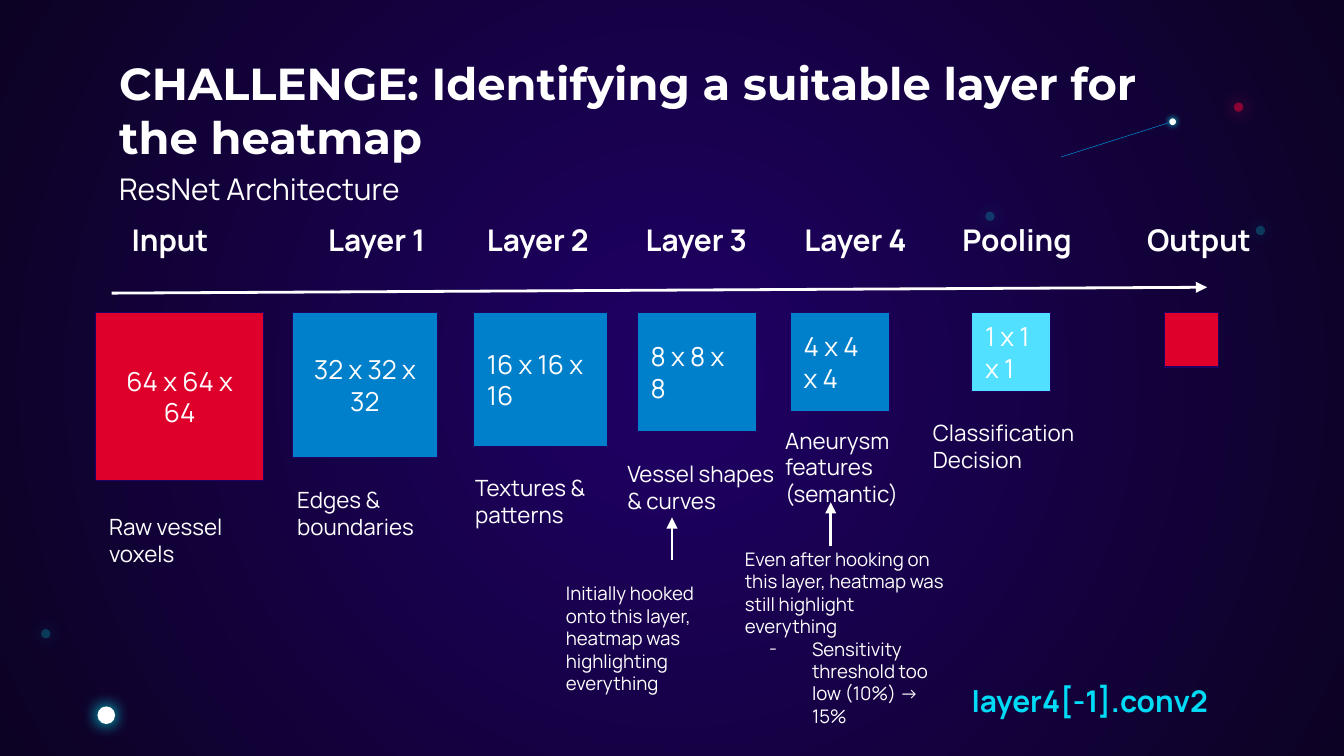
from lxml.etree import SubElement
from pptx import Presentation
from pptx.dml.color import RGBColor
from pptx.enum.shapes import MSO_CONNECTOR, MSO_SHAPE
from pptx.enum.text import MSO_ANCHOR, PP_ALIGN
from pptx.oxml import parse_xml
from pptx.oxml.ns import nsdecls, qn
from pptx.util import Emu, Pt

EMU_PER_PX = 5715
INSET = 16
WHITE, NAVY, BLUE, RED = "FFFFFF", "1F0065", "007FCA", "DE002B"
CYAN, SKY, AQUA, PINK = "00FFFD", "51E0FF", "00DBF6", "FF003A"
CENTER, LEFT = PP_ALIGN.CENTER, PP_ALIGN.LEFT
BODY_FONT = "Manrope"

HEADING_TOP, HEADING_WIDTH = 248, 173
LABEL_HEIGHT = 94
BLOCK_TOP = 372
STAGES = [
    ("Input", 141, 114, 200, RED, "64 x 64 x 64", CENTER),
    ("Layer 1", 375, 348, 173, BLUE, "32 x 32 x 32", CENTER),
    ("Layer 2", 564, 564, 160, BLUE, "16 x 16 x 16", LEFT),
    ("Layer 3", 753, 759, 142, BLUE, "8 x 8 x 8", LEFT),
    ("Layer 4", 942, 941, 118, BLUE, "4 x 4 x 4", LEFT),
    ("Pooling", 1130, 1157, 94, SKY, "1 x 1 x 1", LEFT),
    ("Output", 1350, 1386, 65, RED, "", LEFT),
]
CAPTIONS = [
    ("Raw vessel voxels", 114, 595, 187),
    ("Edges & boundaries", 338, 563, 187),
    ("Textures & patterns", 550, 549, 187),
    ("Vessel shapes & curves", 731, 532, 216),
    ("Aneurysm features (semantic)", 919, 492, 173),
    ("Classification Decision", 1095, 483, 242),
]
STARS = [
    (116, 841, 21, WHITE, 100, CYAN, 9),
    (49, 749, 11, CYAN, 20, CYAN, 9),
    (1495, 269, 11, CYAN, 20, CYAN, 9),
    (1469, 122, 11, PINK, 48, "FF2758", 9),
    (1392, 141, 8, WHITE, 100, CYAN, 3.6),
    (1173, 252, 11, CYAN, 20, CYAN, 9),
]


def px(length):
    return Emu(length * EMU_PER_PX)


def rgb(color):
    return RGBColor.from_string(color)


def paint_background(slide):
    slide._element.cSld.insert(0, parse_xml(
        f'<p:bg {nsdecls("p", "a")}><p:bgPr><a:gradFill rotWithShape="1"><a:gsLst>'
        f'<a:gs pos="0"><a:srgbClr val="{NAVY}"/></a:gs>'
        '<a:gs pos="100000"><a:srgbClr val="0C0223"/></a:gs></a:gsLst>'
        '<a:path path="circle"><a:fillToRect l="50000" t="50000" r="50000" b="50000"/></a:path>'
        '</a:gradFill><a:effectLst/></p:bgPr></p:bg>'))


def fill_text(frame, paragraphs, size, color=WHITE, bold=False,
              font=BODY_FONT, align=LEFT, anchor=MSO_ANCHOR.TOP):
    frame.word_wrap = True
    frame.vertical_anchor = anchor
    frame.margin_left = frame.margin_right = px(INSET)
    frame.margin_top = frame.margin_bottom = px(INSET)
    frame.text = "\n".join(paragraphs)
    for paragraph in frame.paragraphs:
        paragraph.alignment = align
        for run in paragraph.runs:
            run.font.size = Pt(size)
            run.font.name = font
            run.font.bold = bold
            run.font.color.rgb = rgb(color)


def add_text(slide, paragraphs, left, top, width, height, size, **style):
    label = slide.shapes.add_textbox(px(left), px(top), px(width), px(height))
    fill_text(label.text_frame, paragraphs, size, **style)
    return label.text_frame


def add_dash(paragraph, size):
    properties = paragraph._p.get_or_add_pPr()
    properties.set("marL", str(px(80)))
    properties.set("indent", str(px(-51)))
    bullet_color = SubElement(properties, qn("a:buClr"))
    SubElement(bullet_color, qn("a:srgbClr"), val=WHITE)
    SubElement(properties, qn("a:buSzPts"), val=str(size * 100))
    SubElement(properties, qn("a:buFont"), typeface=BODY_FONT)
    SubElement(properties, qn("a:buChar"), char="-")


def add_star(slide, left, top, diameter, color, opacity, glow, blur):
    star = slide.shapes.add_shape(MSO_SHAPE.OVAL, px(left), px(top), px(diameter), px(diameter))
    star.fill.solid()
    star.fill.fore_color.rgb = rgb(color)
    star.line.fill.background()
    if opacity < 100:
        tint = star._element.spPr.find(qn("a:solidFill"))[0]
        SubElement(tint, qn("a:alpha"), val=str(opacity * 1000))
    star.shadow.inherit = False
    effects = star._element.spPr.find(qn("a:effectLst"))
    halo = SubElement(effects, qn("a:outerShdw"), blurRad=str(Pt(blur)), algn="bl", rotWithShape="0")
    SubElement(halo, qn("a:srgbClr"), val=glow)


def add_block(slide, left, side, color, dimensions, align):
    block = slide.shapes.add_shape(MSO_SHAPE.RECTANGLE, px(left), px(BLOCK_TOP), px(side), px(side))
    block.shadow.inherit = False
    block.fill.solid()
    block.fill.fore_color.rgb = rgb(color)
    block.line.color.rgb = rgb(NAVY)
    block.line.width = Pt(0.75)
    if dimensions:
        fill_text(block.text_frame, [dimensions], 14, align=align, anchor=MSO_ANCHOR.MIDDLE)


def add_line(slide, start, end, color=WHITE, weight=1.5, arrow=True):
    line = slide.shapes.add_connector(
        MSO_CONNECTOR.STRAIGHT, *(px(value) for value in start + end))
    line.line.color.rgb = rgb(color)
    line.line.width = Pt(weight)
    if arrow:
        SubElement(line.line._get_or_add_ln(), qn("a:tailEnd"), type="triangle")
    SubElement(line._element.spPr, qn("a:effectLst"))


def main():
    deck = Presentation()
    deck.slide_width, deck.slide_height = px(1600), px(900)
    slide = deck.slides.add_slide(deck.slide_layouts[6])
    paint_background(slide)
    for star in STARS:
        add_star(slide, *star)
    add_line(slide, (1392, 146), (1263, 187), BLUE, 0.3, arrow=False)

    add_text(slide, ["CHALLENGE: Identifying a suitable layer for the heatmap"],
             126, 50, 1349, 160, 24, bold=True, font="Montserrat", anchor=MSO_ANCHOR.MIDDLE)
    add_text(slide, ["ResNet Architecture"], 126, 187, 478, LABEL_HEIGHT, 16)

    for name, heading_left, block_left, side, color, dimensions, align in STAGES:
        add_text(slide, [name], heading_left, HEADING_TOP, HEADING_WIDTH, LABEL_HEIGHT,
                 16, bold=True)
        add_block(slide, block_left, side, color, dimensions, align)
    for caption, left, top, width in CAPTIONS:
        add_text(slide, [caption], left, top, width, LABEL_HEIGHT, 12)

    add_line(slide, (133, 349), (1437, 342))
    add_line(slide, (800, 667), (800, 616))
    add_line(slide, (989, 650), (989, 598))

    add_text(slide, ["Initially hooked onto this layer, heatmap was highlighting everything"],
             658, 677, 216, 142, 10)
    second_attempt = add_text(
        slide,
        ["Even after hooking on this layer, heatmap was still highlight everything",
         "Sensitivity threshold too low (10%) -> 15%"],
        871, 636, 270, 221, 10)
    add_dash(second_attempt.paragraphs[1], 10)
    add_text(slide, ["layer4[-1].conv2"], 1141, 797, 323, 66, 16, color=AQUA, bold=True)
    deck.save("out.pptx")


if __name__ == "__main__":
    main()
